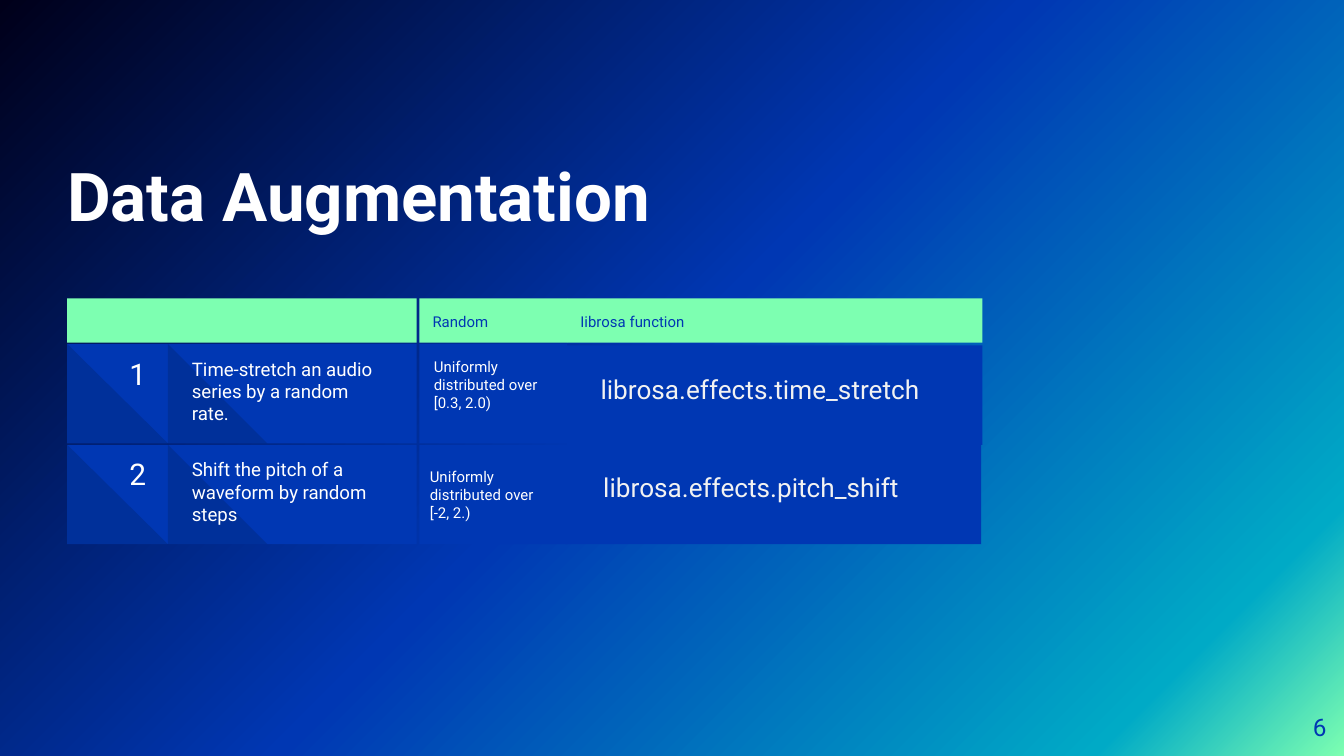
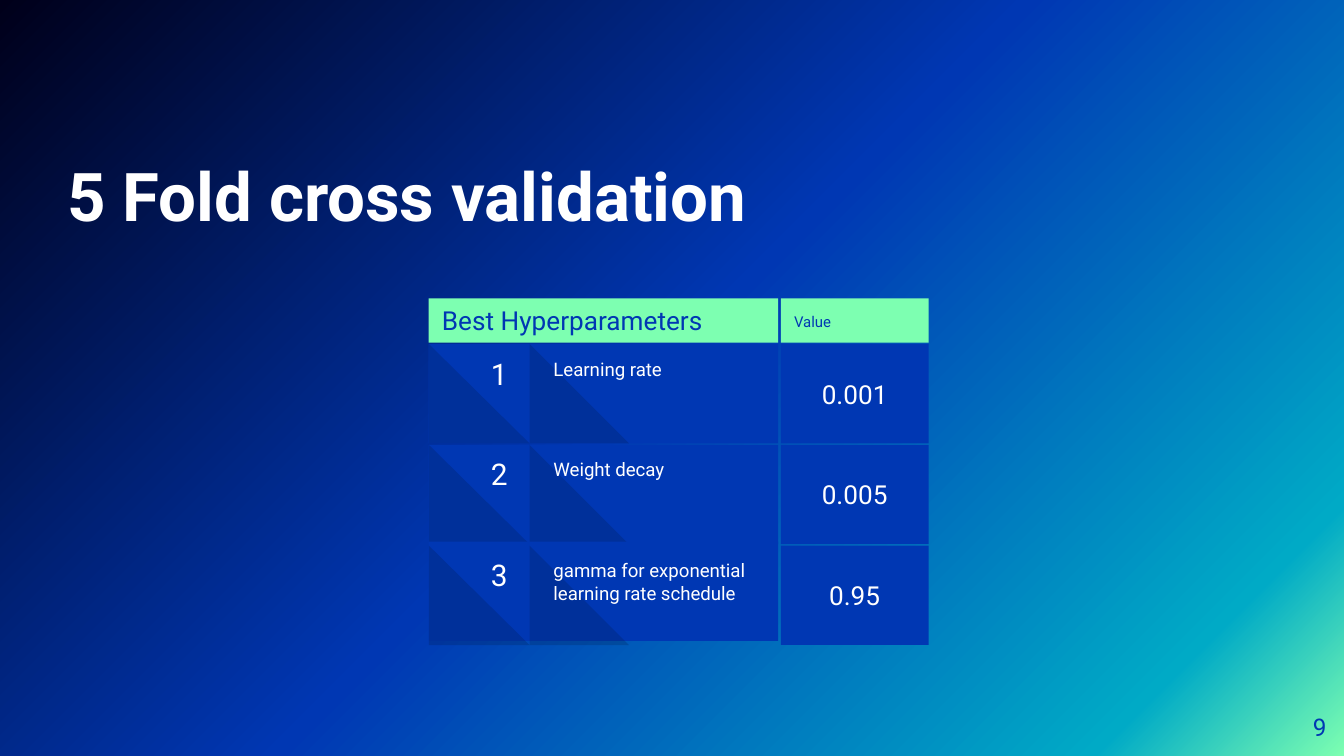
from lxml import etree
from pptx import Presentation
from pptx.dml.color import RGBColor
from pptx.enum.shapes import MSO_SHAPE
from pptx.enum.text import MSO_ANCHOR, MSO_AUTO_SIZE, PP_ALIGN
from pptx.oxml.ns import qn
from pptx.util import Pt

RECTANGLE, TRIANGLE = MSO_SHAPE.RECTANGLE, MSO_SHAPE.RIGHT_TRIANGLE
TOP, MIDDLE, BOTTOM = MSO_ANCHOR.TOP, MSO_ANCHOR.MIDDLE, MSO_ANCHOR.BOTTOM
LEFT, CENTER, RIGHT = PP_ALIGN.LEFT, PP_ALIGN.CENTER, PP_ALIGN.RIGHT
NO_FIT, GROW = MSO_AUTO_SIZE.NONE, MSO_AUTO_SIZE.SHAPE_TO_FIT_TEXT

PX = 9144
PAGE_WIDTH = 1000
FONT = "Roboto"
COLORS = {
    "mint": "7DFFB1",
    "teal": "00AAC6",
    "blue": "0037B3",
    "night": "00001A",
    "shade": "001230",
    "white": "FFFFFF",
    "pale": "F2F2F2",
}
GRADIENT = [(0, "mint"), (12, "teal"), (51, "blue"), (100, "night")]
GRADIENT_ANGLE = 225
SHADE_ALPHA = 19

HEADER_TOP, HEADER_HEIGHT = 222, 33
ROW_TOP, ROW_PITCH, ROW_HEIGHT = 256, 75, 74
BAND_WIDTH, VALUE_OFFSET, VALUE_WIDTH = 260, 262, 110
FUNCTION_WIDTH = 309

AUGMENTATION = {
    "title": "Data Augmentation",
    "page": "6",
    "left": 50,
    "headers": [
        (312, 110, "Random", 8, 1.15),
        (422, FUNCTION_WIDTH, "Iibrosa function", 8, 1.15),
        (50, BAND_WIDTH, "", 8, 1.15),
    ],
    "rows": [
        {"label": "Time-stretch an audio series by a random rate.", "function_at": (422, 257)},
        {"label": "Shift the pitch of a waveform by random steps", "function_at": (421, 331)},
    ],
    "notes": [
        ((313, 261, 110, 50), ["Uniformly distributed over [0.3, 2.0)"], 8, "white"),
        ((310, 343, 110, 50), ["Uniformly distributed over", "[-2, 2.)"], 8, "white"),
        ((437, 273, 500, 34), ["librosa.effects.time_stretch"], 14, "pale"),
        ((439, 346, 500, 34), ["librosa.effects.pitch_shift"], 14, "pale"),
    ],
}
VALIDATION = {
    "title": "5 Fold cross validation",
    "page": "9",
    "left": 319,
    "headers": [
        (581, 110, "Value", 8, 1.15),
        (319, BAND_WIDTH, "Best Hyperparameters", 14, None),
    ],
    "rows": [
        {"label": "Learning rate", "value": "0.001"},
        {"label": "Weight decay", "value": "0.005"},
        {"label": "gamma for exponential learning rate schedule", "value": "0.95", "band_shift": -3},
    ],
    "notes": [],
}


def rgb(name):
    return RGBColor.from_string(COLORS[name])


def scaled(box):
    return [length * PX for length in box]


def write(shape, lines, size, color, align=LEFT, anchor=TOP, insets=(10, 10),
          spacing=None, bold=None, fit=NO_FIT):
    frame = shape.text_frame
    frame.word_wrap = True
    frame.auto_size = fit
    frame.vertical_anchor = anchor
    frame.margin_left = frame.margin_right = insets[0] * PX
    frame.margin_top = frame.margin_bottom = insets[1] * PX
    for index, line in enumerate(lines):
        para = frame.add_paragraph() if index else frame.paragraphs[0]
        para.text = line
        para.alignment = align
        para.line_spacing = spacing
        para.font.name = FONT
        para.font.size = Pt(size)
        para.font.bold = bold
        para.font.color.rgb = rgb(color)


def add_text(shapes, box, lines, size, color, **style):
    write(shapes.add_textbox(*scaled(box)), lines, size, color, **style)


def add_block(shapes, box, color, kind=RECTANGLE, alpha=None):
    block = shapes.add_shape(kind, *scaled(box))
    block.shadow.inherit = False
    block.fill.solid()
    block.fill.fore_color.rgb = rgb(color)
    block.line.fill.background()
    if alpha is not None:
        tint = block.element.spPr.find(".//" + qn("a:srgbClr"))
        etree.SubElement(tint, qn("a:alpha"), val=str(alpha * 1000))
    return block


def paint_background(master):
    master.background.fill.gradient()
    gradient = master.element.find(".//" + qn("p:bgPr")).find(qn("a:gradFill"))
    for child in list(gradient):
        gradient.remove(child)
    stops = etree.SubElement(gradient, qn("a:gsLst"))
    for position, color in GRADIENT:
        stop = etree.SubElement(stops, qn("a:gs"), pos=str(position * 1000))
        etree.SubElement(stop, qn("a:srgbClr"), val=COLORS[color])
    etree.SubElement(gradient, qn("a:lin"), ang=str(GRADIENT_ANGLE * 60000), scaled="0")


def add_row(page, left, index, row):
    top = ROW_TOP + index * ROW_PITCH
    shapes = page.shapes.add_group_shape().shapes
    if "function_at" in row:
        add_block(shapes, (*row["function_at"], FUNCTION_WIDTH, ROW_HEIGHT), "blue")
    band_top = top + row.get("band_shift", 0)
    add_block(shapes, (left, band_top, BAND_WIDTH, ROW_HEIGHT), "blue")
    for offset, width in [(75, 74), (0, 75)]:
        add_block(shapes, (left + offset, top, width, ROW_HEIGHT), "shade", TRIANGLE, SHADE_ALPHA)
    cell = add_block(shapes, (left + VALUE_OFFSET, top, VALUE_WIDTH, ROW_HEIGHT), "blue")
    if "value" in row:
        write(cell, [row["value"]], 14, "white", align=CENTER, anchor=MIDDLE)
    add_text(shapes, (left + 29, top, 47, 45), [str(index + 1)], 16, "white",
             align=CENTER, anchor=BOTTOM)
    add_text(shapes, (left + 83, top, 163, ROW_HEIGHT), [row["label"]], 10, "white")


def add_page(deck, content):
    page = deck.slides.add_slide(deck.slide_layouts.get_by_name("Title Only"))
    title = page.shapes.title
    title.left, title.top, title.width, title.height = scaled((50, 81, 659, 94))
    write(title, [content["title"]], 36, "white", anchor=BOTTOM, insets=(0, 0), bold=True)
    add_text(page.shapes, (927, 519, 60, 43), [content["page"]], 13, "blue",
             align=RIGHT, anchor=MIDDLE, insets=(0, 0))
    for left, width, text, size, spacing in content["headers"]:
        header = add_block(page.shapes, (left, HEADER_TOP, width, HEADER_HEIGHT), "mint")
        if text:
            write(header, [text], size, "blue", anchor=MIDDLE, spacing=spacing)
    for index, row in enumerate(content["rows"]):
        add_row(page, content["left"], index, row)
    for box, lines, size, color in content["notes"]:
        add_text(page.shapes, box, lines, size, color, insets=(10, 5), fit=GROW)


def main():
    deck = Presentation()
    deck.slide_width = PAGE_WIDTH * PX
    deck.slide_height = deck.slide_width * 9 // 16
    paint_background(deck.slide_master)
    for content in (AUGMENTATION, VALIDATION):
        add_page(deck, content)
    deck.save("out.pptx")


if __name__ == "__main__":
    main()
